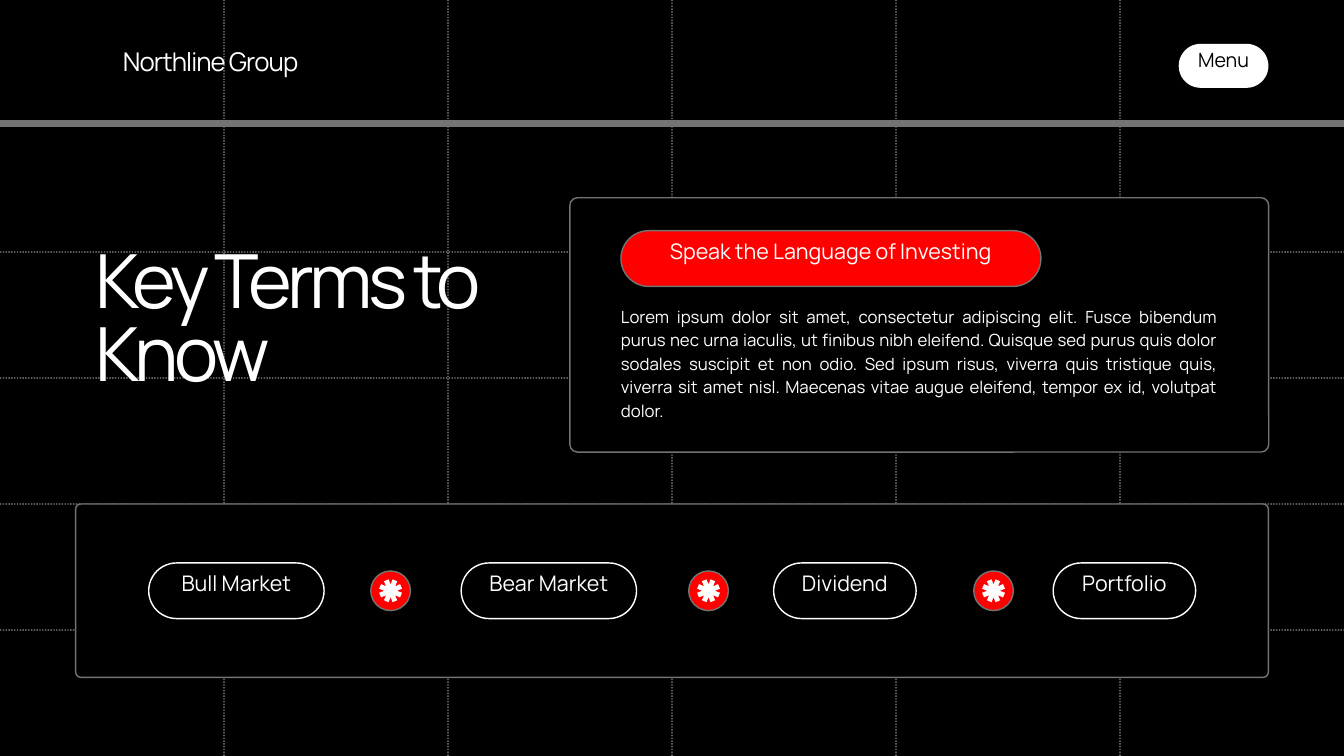
from itertools import accumulate
from math import cos, radians, sin

from lxml.etree import SubElement
from pptx import Presentation
from pptx.dml.color import RGBColor
from pptx.enum.dml import MSO_LINE
from pptx.enum.shapes import MSO_CONNECTOR, MSO_SHAPE
from pptx.enum.text import MSO_ANCHOR, MSO_AUTO_SIZE, PP_ALIGN
from pptx.oxml.ns import qn
from pptx.util import Inches, Pt

# The slide is a grid of 160 columns by 90 rows, with square cells
COLS, ROWS, CELL = 160, 90, 0.125
BLACK, WHITE, GREY, RED = "000000", "FFFFFF", "737373", "FF0000"
PAD = 0.5


def grid(*nums):
    return [Inches(n * CELL) for n in nums]


def inside(box, x, y, w, h):
    return box[0] + x, box[1] + y, w, h


def paint(part, tone):
    """Set a solid colour on a fill."""
    part.solid()
    part.fore_color.rgb = RGBColor.from_string(tone)


def style(shape, fill=None, line=None):
    shape.shadow.inherit = False
    if fill:
        paint(shape.fill, fill)
    else:
        shape.fill.background()
    if line:
        paint(shape.line.fill, line)
        shape.line.width = Pt(1.5)
    else:
        shape.line.fill.background()


def rule(slide, ends, tone, width, alpha=None):
    line = slide.shapes.add_connector(MSO_CONNECTOR.STRAIGHT, *grid(*ends))
    SubElement(line.element.spPr, qn("a:effectLst"))
    paint(line.line.fill, tone)
    line.line.width = Pt(width)
    if alpha:
        line.line.dash_style = MSO_LINE.ROUND_DOT
        for clr in line.element.spPr.iter(qn("a:srgbClr")):
            SubElement(clr, qn("a:alpha")).set("val", str(alpha * 1000))


def block(slide, box, fill, line, curve):
    """A rounded box; curve is the corner's share of the short side."""
    shape = slide.shapes.add_shape(MSO_SHAPE.ROUNDED_RECTANGLE, *grid(*box))
    shape.adjustments[0] = curve
    style(shape, fill, line)


def write(shape, text, size, lead, tone=WHITE, align=PP_ALIGN.LEFT,
          anchor=MSO_ANCHOR.TOP, pad=0, track=None):
    frame = shape.text_frame
    look = dict(word_wrap=True, auto_size=MSO_AUTO_SIZE.NONE, vertical_anchor=anchor)
    look |= {f"margin_{s}": grid(pad)[0] for s in ("left", "top", "right", "bottom")}
    frame.text = text
    para = frame.paragraphs[0]
    run = para.runs[0]
    if track:
        run.font.element.set("spc", str(track)) if hasattr(run.font, "element") \
            else run._r.get_or_add_rPr().set("spc", str(track))
    setup = dict(alignment=align, line_spacing=Pt(lead), space_before=Pt(0))
    face = dict(name="Manrope", size=Pt(size), bold=False)
    for item, values in ((frame, look), (para, setup), (run.font, face)):
        for key, value in values.items():
            setattr(item, key, value)
    paint(run.font.fill, tone)
    return para


def settle(slide, holder, box):
    """Move a placeholder to its box and to the front."""
    sides = zip(("left", "top", "width", "height"), grid(*box))
    for key, value in sides:
        setattr(holder, key, value)
    slide.shapes.element.append(holder.element)


def pill(slide, box, text, size=23, fill=None, line=None, tone=WHITE):
    x, y, w, h = box
    block(slide, box, fill, line, 0.5)
    rise = 0.35 * h
    label = slide.shapes.add_textbox(*grid(x, y - rise, w, h + rise))
    write(label, text, size, size * 1.4, tone, PP_ALIGN.CENTER,
          MSO_ANCHOR.MIDDLE, PAD)


def star(slide, x, y):
    """A red disc with an eight-armed asterisk, centred on x, y."""
    size = 4.72
    disc = slide.shapes.add_shape(
        MSO_SHAPE.OVAL, *grid(x - size / 2, y - size / 2, size, size))
    style(disc, RED, GREY)
    dots = []
    for turn in range(0, 360, 45):
        for angle, reach in ((0, 0.75), (10, 1.38), (35, 1.38)):
            way = radians(turn + angle)
            dots.append(grid(x + reach * cos(way), y + reach * sin(way)))
    pen = slide.shapes.build_freeform(*dots[0])
    pen.add_line_segments(dots[1:], close=True)
    style(pen.convert_to_shape(), WHITE)


def backdrop(slide, box):
    x, y, w, h = box
    paint(slide.background.fill, BLACK)
    for n in range(1, 6):
        across, down = x + n * w / 6, y + n * h / 6
        rule(slide, (across, y, across, y + h), WHITE, 1.5, 55)
        rule(slide, (x, down, x + w, down), WHITE, 1.5, 55)


def header(slide, box):
    x, y, w, h = box
    rule(slide, (x, y + h, x + w, y + h), GREY, 7.5)
    pill(slide, inside(box, 140.32, 5.22, 10.68, 5.24), "Menu", 21, WHITE, tone=BLACK)
    brand = slide.shapes.add_textbox(*grid(*inside(box, 14.64, 4.88, 29.44, 4.4)))
    write(brand, "Northline Group", 27.6, 38.6, track=-100)


def heading(slide, box):
    title = slide.shapes.title
    settle(slide, title, box)
    write(title, "Key Terms to Know", 80, 78.4, track=-510)


def lesson(slide, box):
    block(slide, box, BLACK, GREY, 0.03)
    pill(slide, inside(box, 6.08, 3.92, 50, 6.64),
         "Speak the Language of Investing", fill=RED, line=GREY)
    body = slide.placeholders[1]
    settle(slide, body, inside(box, 6.08, 12.56, 70.96, 13.84))
    para = write(
        body,
        "Lorem ipsum dolor sit amet, consectetur adipiscing elit. Fusce bibendum "
        "purus nec urna iaculis, ut finibus nibh eleifend. Quisque sed purus quis "
        "dolor sodales suscipit et non odio. Sed ipsum risus, viverra quis tristique "
        "quis, viverra sit amet nisl. Maecenas vitae augue eleifend, tempor ex id, "
        "volutpat dolor.", 18, 25.2, align=PP_ALIGN.JUSTIFY)
    props = para._p.get_or_add_pPr()
    props.set("marL", "0")
    props.set("indent", "0")
    SubElement(props, qn("a:buNone"))


def terms(slide, box):
    block(slide, box, BLACK, GREY, 0.03)
    names = ("Bull Market", "Bear Market", "Dividend", "Portfolio")
    wides = (20.88, 20.88, 16.96, 16.96)
    gap, top, tall = 16.32, 7.02, 6.62
    lefts = accumulate((wide + gap for wide in wides), initial=8.7)
    for name, left, wide in zip(names, lefts, wides):
        pill(slide, inside(box, left, top, wide, tall), name, line=WHITE)
    for mid in (37.5, 75.35, 109.28):
        star(slide, box[0] + mid, box[1] + top + tall / 2)


def main():
    deck = Presentation()
    deck.slide_width, deck.slide_height = grid(COLS, ROWS)
    slide = deck.slides.add_slide(deck.slide_layouts[1])
    backdrop(slide, (0, 0, COLS, ROWS))
    header(slide, (0, 0, COLS, 14.74))
    lesson(slide, (67.84, 23.54, 83.2, 30.28))
    terms(slide, (9, 60, 142, 20.64))
    heading(slide, (11.36, 29.76, 45.84, 18.56))
    deck.save("out.pptx")


if __name__ == "__main__":
    main()
